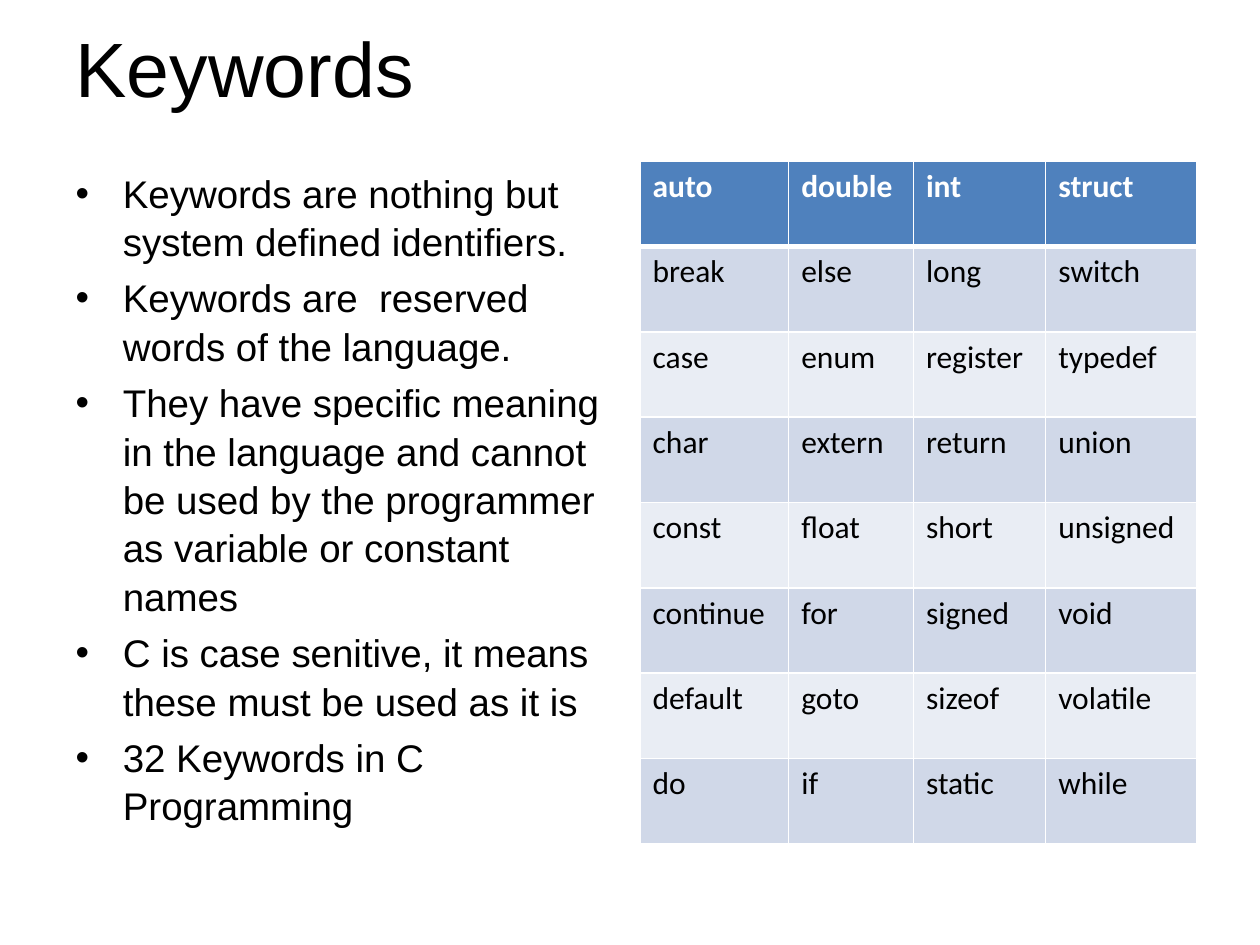
"""Build a slide listing the keywords of the C language."""
from dataclasses import dataclass

from lxml import etree
from pptx import Presentation
from pptx import util as u
from pptx.dml.color import RGBColor
from pptx.enum import text
from pptx.oxml.ns import qn

TITLE = "Keywords"
POINTS = [
    "Keywords are nothing but system defined identifiers.",
    "Keywords are  reserved words of the language.",
    "They have specific meaning in the language and cannot be used by the "
    "programmer as variable or constant names",
    "C is case senitive, it means these must be used as it is",
    "32 Keywords in C Programming",
]
KEYWORDS = [
    ("auto", "double", "int", "struct"),
    ("break", "else", "long", "switch"),
    ("case", "enum", "register", "typedef"),
    ("char", "extern", "return", "union"),
    ("const", "float", "short", "unsigned"),
    ("continue", "for", "signed", "void"),
    ("default", "goto", "sizeof", "volatile"),
    ("do", "if", "static", "while"),
]
COLUMN_WIDTHS = (1.18, 0.99, 1.05, 1.2)
TITLE_AREA = (0.5, 0.21, 9, 0.64)
BODY_AREA = (0.5, 1.28, 4.42, 5.42)
TABLE_AREA = (5.08, 1.28, 4.42, 5.42)


@dataclass(frozen=True)
class Theme:
    """Colours, fonts and type sizes of the slide."""
    ink: str = "000000"
    paper: str = "FFFFFF"
    header: str = "4F81BD"
    bands: tuple = ("E9EDF4", "D0D8E8")
    text_font: str = "Arial"
    table_font: str = "Calibri"
    title_size: int = 44
    body_size: int = 22
    table_size: int = 18
    rule: int = 1
    header_rule: int = 3


THEME = Theme()


def write(frame, lines, *, size, font=THEME.text_font, color=THEME.ink,
          bold=False, align=None, spacing=None):
    """Fill a text frame with one formatted paragraph per line."""
    for index, line in enumerate(lines):
        para = frame.add_paragraph() if index else frame.paragraphs[0]
        para.alignment = align
        para.line_spacing = spacing
        span = para.add_run()
        span.text = line
        span.font.size = u.Pt(size)
        span.font.name = font
        span.font.bold = bold
        span.font.color.rgb = RGBColor.from_string(color)


def place(box, area):
    """Move a placeholder to an area and keep its type size fixed."""
    box.left, box.top, box.width, box.height = map(u.Inches, area)
    box.text_frame.word_wrap = True
    box.text_frame.auto_size = text.MSO_AUTO_SIZE.NONE
    return box.text_frame


def add_borders(cell, **widths):
    """Draw the cell's left, right, top and bottom borders."""
    properties = cell._tc.get_or_add_tcPr()
    for side, width in widths.items():
        line = etree.SubElement(properties, qn(f"a:ln{side}"), w=str(u.Pt(width)))
        fill = etree.SubElement(line, qn("a:solidFill"))
        etree.SubElement(fill, qn("a:srgbClr"), val=THEME.paper)


def add_keyword_table(page):
    """Add the banded keyword table with its header row."""
    frame = page.shapes.add_table(len(KEYWORDS), len(COLUMN_WIDTHS),
                                  *map(u.Inches, TABLE_AREA))
    table = frame.table
    for column, width in zip(table.columns, COLUMN_WIDTHS):
        column.width = u.Inches(width)
    for index, (row, words) in enumerate(zip(table.rows, KEYWORDS)):
        row.height = u.Inches(TABLE_AREA[3] / len(KEYWORDS))
        header = index == 0
        top = THEME.header_rule if index == 1 else THEME.rule
        bottom = THEME.header_rule if header else THEME.rule
        color = THEME.header if header else THEME.bands[index % 2]
        for cell, word in zip(row.cells, words):
            add_borders(cell, L=THEME.rule, R=THEME.rule, T=top, B=bottom)
            cell.fill.solid()
            cell.fill.fore_color.rgb = RGBColor.from_string(color)
            write(cell.text_frame, [word], size=THEME.table_size,
                  font=THEME.table_font, bold=header,
                  color=THEME.paper if header else THEME.ink)


def main():
    """Build and save the deck."""
    deck = Presentation()
    deck.slide_width, deck.slide_height = u.Inches(10), u.Inches(7.5)
    page = deck.slides.add_slide(deck.slide_layouts[1])
    title, body = page.placeholders
    write(place(title, TITLE_AREA), [TITLE], size=THEME.title_size,
          align=text.PP_ALIGN.LEFT)
    write(place(body, BODY_AREA), POINTS, size=THEME.body_size, spacing=1.05)
    add_keyword_table(page)
    deck.save("out.pptx")


if __name__ == "__main__":
    main()
